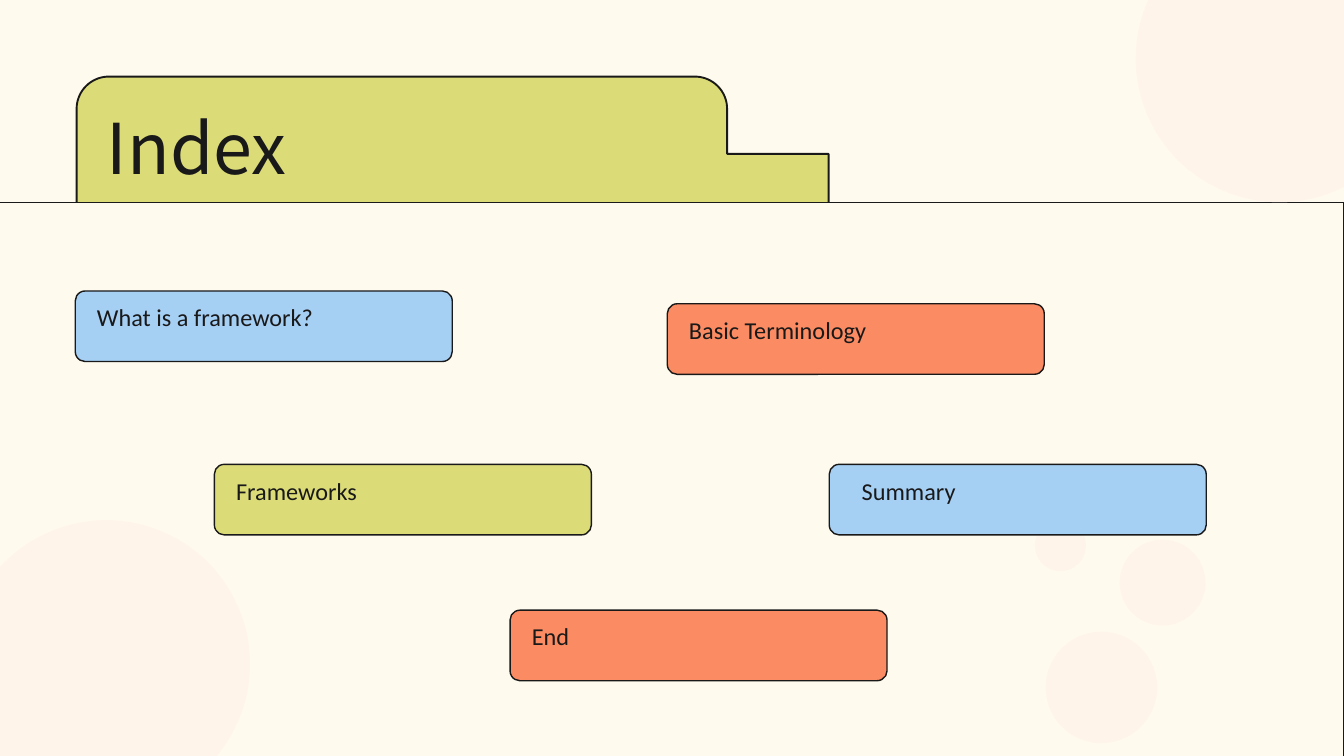
from math import cos, pi, sin

from pptx import Presentation
from pptx.dml.color import RGBColor
from pptx.enum.shapes import MSO_SHAPE
from pptx.enum.text import MSO_ANCHOR, MSO_AUTO_SIZE, PP_ALIGN
from pptx.util import Pt

# Content: lengths in px, 100 px to the inch
PX = 9144
SLIDE = (2000, 1125)
COLORS = {
    "cream": "FFFAEE",
    "blush": "FFF4EA",
    "ink": "191919",
    "olive": "DBDB78",
    "sky": "A6CFF4",
    "coral": "FB8B62",
}
TITLE = "Index"
TITLE_BOX = (159, 176, 880, 109)
PANEL = (-66, 301, 2066, 843)
FOLDER = {"left": 114, "top": 114, "tab_right": 1082, "step": 229,
          "right": 1233, "bottom": 840, "radius": 48}
CIRCLES = [  # left, top, diameter
    (1556, 940, 166),
    (1666, 803, 128),
    (1540, 774, 76),
    (1690, -127, 428),
    (-56, 774, 428),
]
LABEL_SIZE = (561, 105)
LABEL_INSET = 28
LABELS = [  # text, left, top, colour, extra indent
    ("What is a framework?", 112, 433, "sky", 0),
    ("Basic Terminology", 993, 452, "coral", 0),
    ("Frameworks", 319, 691, "olive", 0),
    ("Summary", 1234, 691, "sky", 16),
    ("End", 759, 908, "coral", 0),
]
TITLE_FONT = {"name": "Noto Sans CJK KR", "size": Pt(75)}
LABEL_FONT = {"name": "Calibri", "size": Pt(26)}


def emu(*lengths):
    return [round(length * PX) for length in lengths]


def color(name):
    return RGBColor.from_string(COLORS[name])


def paint(shape, fill, line_width=None):
    shape.shadow.inherit = False
    shape.fill.solid()
    shape.fill.fore_color.rgb = color(fill)
    if line_width is None:
        shape.line.fill.background()
    else:
        shape.line.color.rgb = color("ink")
        shape.line.width = Pt(line_width)


def write(shape, text, font, line_spacing, frame_format):
    frame = shape.text_frame
    for name, value in frame_format.items():
        setattr(frame, name, value)
    paragraph = frame.paragraphs[0]
    paragraph.text = text
    paragraph.alignment = PP_ALIGN.LEFT
    paragraph.line_spacing = Pt(line_spacing)
    for name, value in font.items():
        setattr(paragraph.font, name, value)
    paragraph.font.color.rgb = color("ink")


def insets(left, top, right, bottom):
    names = ("margin_left", "margin_top", "margin_right", "margin_bottom")
    return dict(zip(names, emu(left, top, right, bottom)))


def corner(center_x, center_y, radius, start_degrees, steps=18):
    """Points of a clockwise quarter circle."""
    angles = [pi * (start_degrees + 90 * step / steps) / 180
              for step in range(steps + 1)]
    return [(center_x + radius * cos(angle), center_y + radius * sin(angle))
            for angle in angles]


def add_folder(shapes):
    left, top, tab_right, step, right, bottom, radius = FOLDER.values()
    points = [
        (left, bottom),
        *corner(left + radius, top + radius, radius, 180),
        *corner(tab_right - radius, top + radius, radius, 270),
        (tab_right, step), (right, step), (right, bottom),
    ]
    builder = shapes.build_freeform(*emu(*points[0]), scale=1.0)
    builder.add_line_segments([emu(*point) for point in points[1:]], close=True)
    paint(builder.convert_to_shape(), "olive", 2)


def main():
    presentation = Presentation()
    presentation.slide_width, presentation.slide_height = emu(*SLIDE)
    slide = presentation.slides.add_slide(presentation.slide_layouts[5])
    shapes = slide.shapes
    slide.background.fill.solid()
    slide.background.fill.fore_color.rgb = color("cream")

    # Folder tab and the page in front of it
    add_folder(shapes)
    paint(shapes.add_shape(MSO_SHAPE.RECTANGLE, *emu(*PANEL)), "cream", 1.5)

    # Background circles
    for left, top, diameter in CIRCLES:
        box = emu(left, top, diameter, diameter)
        paint(shapes.add_shape(MSO_SHAPE.OVAL, *box), "blush")

    # Title, brought in front of the folder
    title = shapes.title
    title.left, title.top, title.width, title.height = emu(*TITLE_BOX)
    write(title, TITLE, TITLE_FONT, 75, {
        "vertical_anchor": MSO_ANCHOR.TOP, "word_wrap": True,
        "auto_size": MSO_AUTO_SIZE.NONE, **insets(0, 0, 0, 0)})
    shapes.element.append(title.element)

    # Index labels
    for text, left, top, fill, indent in LABELS:
        label = shapes.add_shape(MSO_SHAPE.ROUNDED_RECTANGLE,
                                 *emu(left, top, *LABEL_SIZE))
        label.adjustments[0] = 0.14
        paint(label, fill, 1.5)
        write(label, text, LABEL_FONT, 36.4, {
            "vertical_anchor": MSO_ANCHOR.MIDDLE, "word_wrap": True,
            **insets(LABEL_INSET + indent, 0, LABEL_INSET, 35)})

    presentation.save("out.pptx")


if __name__ == "__main__":
    main()
